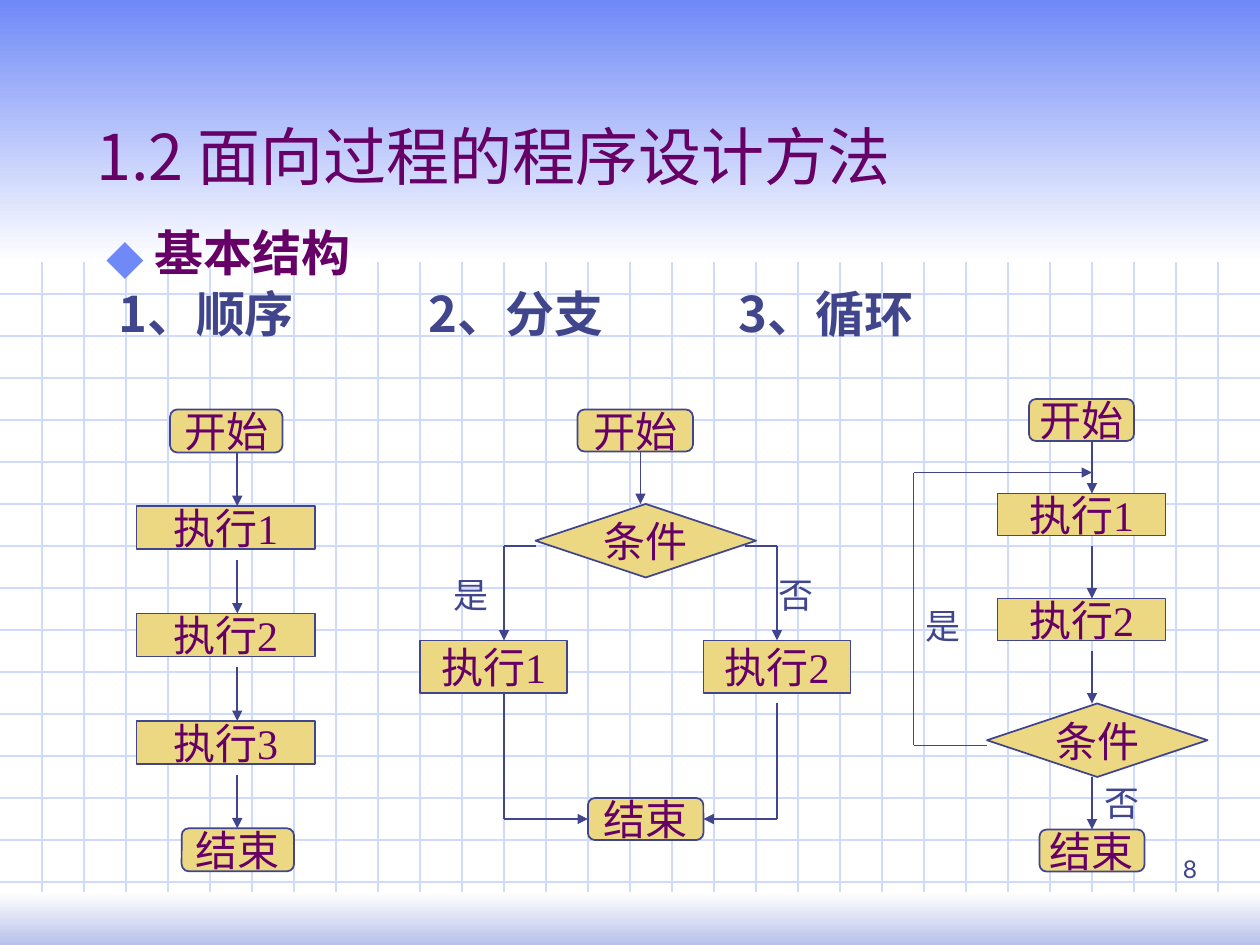
from lxml import etree
from pptx import Presentation
from pptx import util as u
from pptx.dml.color import RGBColor
from pptx.enum import shapes, text
from pptx.oxml import ns

PURPLE = RGBColor(0x66, 0x00, 0x66)
NAVY = RGBColor(0x40, 0x45, 0x8C)
SAND = RGBColor(0xEC, 0xD8, 0x82)
SKY = RGBColor(0x6F, 0x89, 0xF7)
MIST = RGBColor(0xB7, 0xC1, 0xEB)
PALE = RGBColor(0xCF, 0xDB, 0xFD)
WHITE = RGBColor(0xFF, 0xFF, 0xFF)

CELL = u.Inches(1) // 12
COLUMNS, ROWS = 120, 90
CJK = "Noto Sans CJK SC"
KINDS = shapes.MSO_SHAPE
TERMINAL, STEP, DECISION = (KINDS.FLOWCHART_ALTERNATE_PROCESS, KINDS.RECTANGLE,
                            KINDS.FLOWCHART_DECISION)

TITLE = dict(name=CJK, size=u.Pt(36), bold=False)
HEADING = dict(name=CJK, size=u.Pt(28), bold=True)
NODE = dict(name="Times New Roman", size=u.Pt(24), bold=False)
LABEL = dict(name="Times New Roman", size=u.Pt(20), bold=False)
NUMBER = dict(name="Lato", size=u.Pt(14), bold=False)


def cells(*counts):
    """Turn grid counts into lengths."""
    return [round(count * CELL) for count in counts]


def place(box, x, y):
    """Shift a grid point into a region's box."""
    return box[0] + x, box[1] + y


def add_xml(parent, tag, **attributes):
    """Append a drawing element with its attributes."""
    return etree.SubElement(parent, ns.qn(tag), attributes)


def write(paragraph, words, style, color):
    """Add one styled run to a paragraph."""
    run = paragraph.add_run()
    run.text = words
    for key, value in style.items():
        setattr(run.font, key, value)
    run.font.color.rgb = color
    add_xml(run.font._element, "a:ea", typeface=CJK)


def text_area(slide, box, **formats):
    """Add a wrapping text box and return its frame."""
    frame = slide.shapes.add_textbox(*cells(*box)).text_frame
    frame.word_wrap = True
    for key, value in formats.items():
        setattr(frame, key, value)
    return frame


def rule(slide, start, end, color, width, arrow=False):
    """Draw a straight line between two grid points."""
    line = slide.shapes.add_connector(shapes.MSO_CONNECTOR.STRAIGHT, *cells(*start, *end))
    line.line.color.rgb = color
    line.line.width = u.Pt(width)
    if arrow:
        add_xml(line.line._get_or_add_ln(), "a:tailEnd", type="triangle", w="med", len="med")
    add_xml(line._element.spPr, "a:effectLst")


def flow(slide, box, *points):
    """Draw a path through the points, with an arrowhead at its end."""
    stops = [place(box, *point) for point in points]
    for start, end in zip(stops, stops[1:]):
        rule(slide, start, end, NAVY, 1, arrow=end == stops[-1])


def node(slide, box, kind, words, x, y, width, height):
    """Add one captioned flowchart node."""
    symbol = slide.shapes.add_shape(kind, *cells(*place(box, x, y), width, height))
    symbol.shadow.inherit = False
    symbol.fill.solid()
    symbol.fill.fore_color.rgb = SAND
    symbol.line.color.rgb = NAVY
    symbol.line.width = u.Pt(1)
    frame = symbol.text_frame
    frame.word_wrap = False
    frame.vertical_anchor = text.MSO_ANCHOR.MIDDLE
    frame.paragraphs[0].alignment = text.PP_ALIGN.CENTER
    write(frame.paragraphs[0], words, NODE, PURPLE)


def answer(slide, box, words, x, y):
    """Add a yes or no label beside a path."""
    frame = text_area(slide, (*place(box, x, y), 6, 5.3))
    write(frame.paragraphs[0], words, LABEL, NAVY)


def band(slide, box, top_color, bottom_color):
    """Add a full-width band that fades downwards."""
    strip = slide.shapes.add_shape(KINDS.RECTANGLE, *cells(*box))
    strip.shadow.inherit = False
    strip.line.fill.background()
    strip.fill.gradient()
    strip.fill.gradient_angle = 270
    for stop, color, position in zip(strip.fill.gradient_stops, (top_color, bottom_color), (0, 1)):
        stop.color.rgb = color
        stop.position = position


def backdrop(slide, box):
    """Draw the squared paper and the two bands."""
    left, top, width, height = box
    for y in range(28, 85, 4):
        rule(slide, (left, top + y), (left + width, top + y), PALE, 0.75)
    for x in range(4, width, 4):
        rule(slide, (left + x, top), (left + x, top + height), PALE, 0.75)
    band(slide, (left, top, width, 25), SKY, WHITE)
    band(slide, (left, top + 85, width, 5), WHITE, MIST)


def title(slide, box):
    """Write the slide title."""
    frame = text_area(slide, box, vertical_anchor=text.MSO_ANCHOR.BOTTOM)
    write(frame.paragraphs[0], "1.2 面向过程的程序设计方法", TITLE, PURPLE)


def headings(slide, box):
    """Write the bulleted topic and the three structure names."""
    frame = text_area(slide, box)
    topic, names = frame.paragraphs[0], frame.add_paragraph()
    layout = topic._p.get_or_add_pPr()
    hang = u.Inches(0.38)
    layout.set("marL", str(hang))
    layout.set("indent", str(-hang))
    add_xml(add_xml(layout, "a:buClr"), "a:srgbClr", val=str(SKY))
    add_xml(layout, "a:buSzPct", val="110000")
    add_xml(layout, "a:buFont", typeface=CJK)
    add_xml(layout, "a:buChar", char="⬥")
    tabs = add_xml(names._p.get_or_add_pPr(), "a:tabLst")
    for position in (0.09, 2.55, 5.01):
        add_xml(tabs, "a:tab", pos=str(u.Inches(position)), algn="l")
    for paragraph in (topic, names):
        paragraph.line_spacing = 0.82
    names.space_before = u.Pt(7)
    write(topic, "基本结构", HEADING, PURPLE)
    write(names, "\t1、顺序\t2、分支\t3、循环", HEADING, NAVY)


def sequence(slide, box):
    """Draw the sequence structure."""
    tops = [9.2 + 10.23 * step for step in range(4)]
    node(slide, box, TERMINAL, "开始", 3.2, 0, 10.7, 4.1)
    for number, top in enumerate(tops[:-1], 1):
        node(slide, box, STEP, f"执行{number}", 0, top, 17, 4.1)
    node(slide, box, TERMINAL, "结束", 4.3, tops[-1], 10.7, 4.1)
    for top in tops:
        flow(slide, box, (9.6, top - 5.1), (9.6, top))


def branch(slide, box):
    """Draw the branch structure."""
    node(slide, box, TERMINAL, "开始", 15, 0, 11, 4)
    node(slide, box, DECISION, "条件", 11, 9, 21, 7)
    node(slide, box, STEP, "执行1", 0, 22, 14, 5)
    node(slide, box, STEP, "执行2", 27, 22, 14, 5)
    node(slide, box, TERMINAL, "结束", 16, 37, 11, 4)
    flow(slide, box, (21, 4), (21, 9))
    for lane, exit_x, leave_y, end_x in ((8, 11, 27, 16), (34, 31, 28, 27)):
        flow(slide, box, (exit_x, 13), (lane, 13), (lane, 22))
        flow(slide, box, (lane, leave_y), (lane, 39), (end_x, 39))
    answer(slide, box, "是", 2, 15)
    answer(slide, box, "否", 33, 15)


def loop(slide, box):
    """Draw the loop structure."""
    node(slide, box, TERMINAL, "开始", 11, 0, 10, 4)
    node(slide, box, STEP, "执行1", 8, 9, 16, 4)
    node(slide, box, STEP, "执行2", 8, 19, 16, 4)
    node(slide, box, DECISION, "条件", 7, 29, 21, 7)
    node(slide, box, TERMINAL, "结束", 12, 41, 10, 4)
    for start, end in ((4, 9), (14, 19), (24, 29), (36, 41)):
        flow(slide, box, (17, start), (17, end))
    flow(slide, box, (7, 33), (0, 33), (0, 7), (17, 7))
    answer(slide, box, "是", 0, 19)
    answer(slide, box, "否", 17, 35.8)


def page_number(slide, box):
    """Write the page number."""
    frame = text_area(slide, box, vertical_anchor=text.MSO_ANCHOR.BOTTOM)
    frame.paragraphs[0].alignment = text.PP_ALIGN.RIGHT
    write(frame.paragraphs[0], "8", NUMBER, NAVY)


def main():
    """Build and save the slide."""
    deck = Presentation()
    deck.slide_width, deck.slide_height = cells(COLUMNS, ROWS)
    slide = deck.slides.add_slide(deck.slide_layouts[6])
    backdrop(slide, (0, 0, COLUMNS, ROWS))
    title(slide, (8, 4, 102, 15))
    headings(slide, (9, 21.6, 106, 62.4))
    sequence(slide, (13, 39))
    branch(slide, (40, 39))
    loop(slide, (87, 38))
    page_number(slide, (102, 80, 13.2, 4.7))
    deck.save("out.pptx")


if __name__ == "__main__":
    main()
